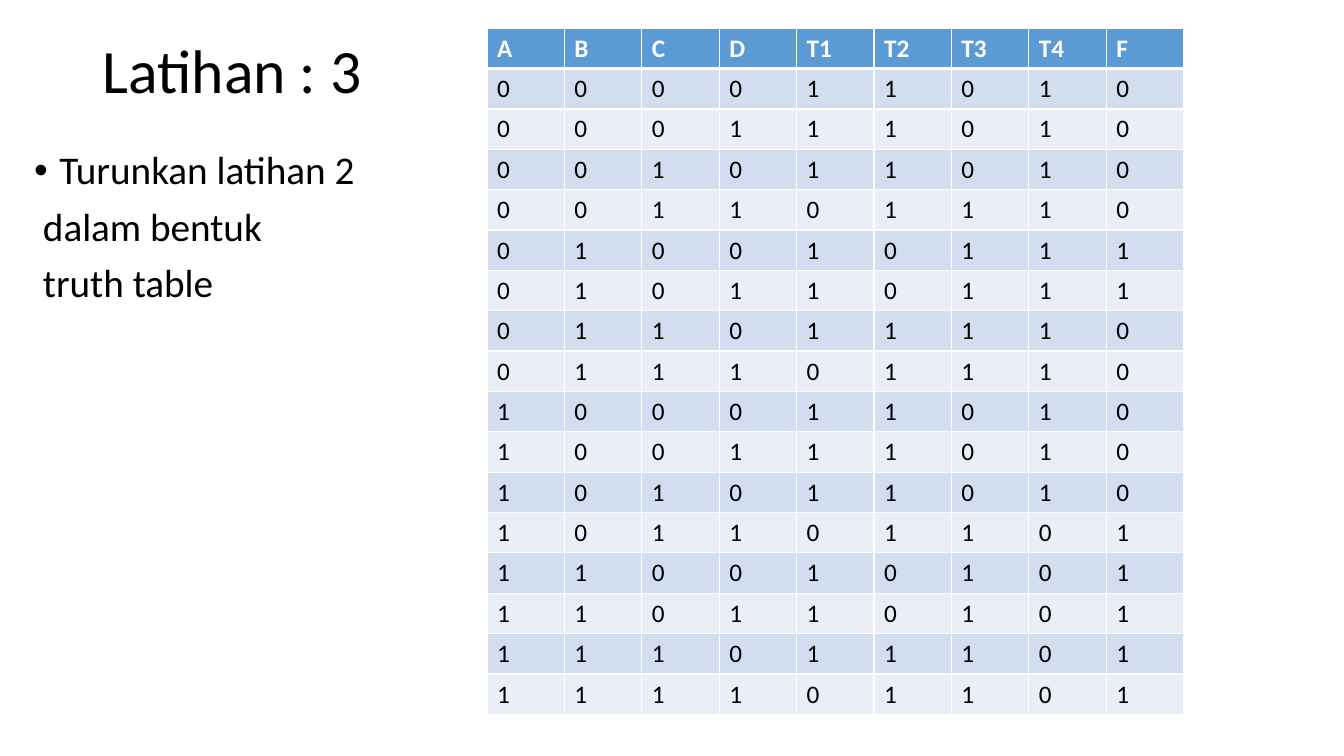
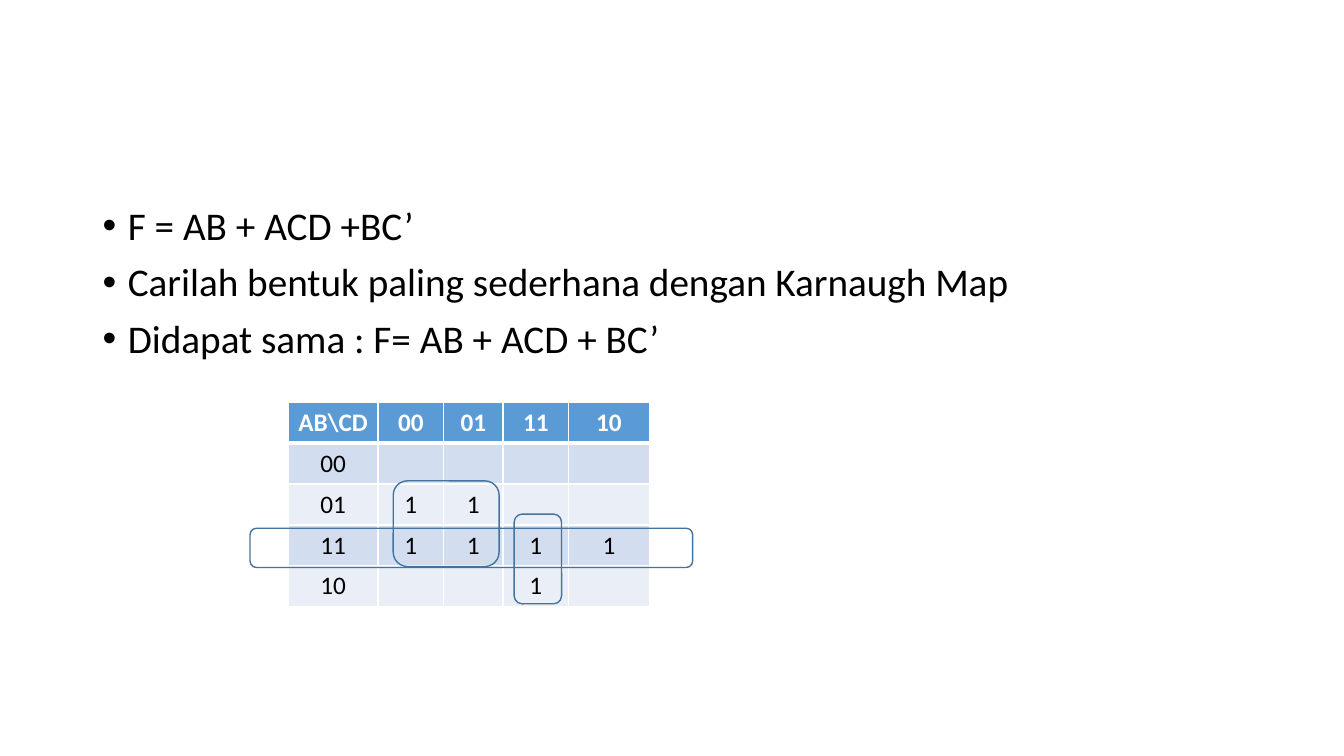
from itertools import product

from lxml.etree import SubElement
from pptx import Presentation
from pptx.dml.color import RGBColor
from pptx.enum.shapes import MSO_SHAPE
from pptx.enum.text import MSO_ANCHOR, PP_ALIGN
from pptx.oxml.ns import qn
from pptx.util import Inches, Pt

BLACK, WHITE = "000000", "FFFFFF"
HEADER_FILL, BAND_FILLS = "5B9BD5", ("D2DEEF", "EAEFF7")
LOOP_LINE = "43739E"

TITLE_FONT = {"name": "Calibri", "size": Pt(44)}
BODY_FONT = {"name": "Calibri", "size": Pt(28)}
HEADER_FONT = {"name": "Calibri", "size": Pt(18), "bold": True}
CELL_FONT = {"name": "Calibri", "size": Pt(18), "bold": False}
TITLE_SPACING = {"line_spacing": 0.9}
BODY_SPACING = {"line_spacing": 0.9, "space_before": Pt(10)}

GRAY_CODES = ("00", "01", "11", "10")
LOOPS = (
    (2.48, 5.24, 4.39, 0.39),
    (3.9, 4.77, 1.05, 0.85),
    (5.1, 5.1, 0.47, 0.89),
)


def rgb(value):
    """Turn a hex string into a colour."""
    return RGBColor.from_string(value)


def apply_format(target, values):
    """Set each format value on the target."""
    for name, value in values.items():
        setattr(target, name, value)


def write(paragraph, text, font, color=BLACK):
    """Put one formatted run into a paragraph."""
    run = paragraph.add_run()
    run.text = text
    apply_format(run.font, font)
    run.font.color.rgb = rgb(color)


def add_bullet(paragraph):
    """Give a paragraph a hanging round bullet."""
    properties = paragraph._p.get_or_add_pPr()
    properties.set("marL", str(Inches(0.25)))
    properties.set("indent", str(-Inches(0.25)))
    SubElement(properties, qn("a:buFont")).set("typeface", "Arial")
    SubElement(properties, qn("a:buChar")).set("char", "•")


def add_text(slide, box, lines, font, spacing, anchor=MSO_ANCHOR.TOP):
    """Add a text box from (text, bulleted) lines."""
    frame = slide.shapes.add_textbox(*map(Inches, box)).text_frame
    apply_format(frame, {"word_wrap": True, "vertical_anchor": anchor})
    for index, (text, bulleted) in enumerate(lines):
        paragraph = frame.add_paragraph() if index else frame.paragraphs[0]
        apply_format(paragraph, spacing)
        if bulleted:
            add_bullet(paragraph)
        write(paragraph, text, font)


def add_title(slide, text):
    """Add the slide title."""
    add_text(slide, (0.92, 0, 11.5, 1.45), [(text, False)], TITLE_FONT,
             TITLE_SPACING, MSO_ANCHOR.MIDDLE)


def add_body(slide, left, top, lines):
    """Add the body text."""
    add_text(slide, (left, top, 11.5, 4.76), lines, BODY_FONT, BODY_SPACING)


def set_borders(cell, row):
    """Draw white cell borders, thick below the header row."""
    widths = {"L": 1, "R": 1, "T": 3 if row == 1 else 1, "B": 1 if row else 3}
    for side, width in widths.items():
        line = SubElement(cell._tc.get_or_add_tcPr(), qn(f"a:ln{side}"), w=str(Pt(width)))
        fill = SubElement(line, qn("a:solidFill"))
        SubElement(fill, qn("a:srgbClr"), val=WHITE)


def add_grid(slide, box, rows, alignment=PP_ALIGN.LEFT):
    """Add a banded table with a header row and return it."""
    grid = slide.shapes.add_table(len(rows), len(rows[0]), *map(Inches, box)).table
    for r, values in enumerate(rows):
        for c, value in enumerate(values):
            cell = grid.cell(r, c)
            set_borders(cell, r)
            cell.fill.solid()
            cell.fill.fore_color.rgb = rgb(BAND_FILLS[(r - 1) % 2] if r else HEADER_FILL)
            paragraph = cell.text_frame.paragraphs[0]
            paragraph.alignment = alignment
            if value:
                write(paragraph, value, CELL_FONT if r else HEADER_FONT,
                      BLACK if r else WHITE)
    return grid


def add_loop(slide, box):
    """Outline a group of cells with a rounded rectangle."""
    loop = slide.shapes.add_shape(MSO_SHAPE.ROUNDED_RECTANGLE, *map(Inches, box))
    loop.shadow.inherit = False
    loop.fill.background()
    loop.line.color.rgb = rgb(LOOP_LINE)
    loop.line.width = Pt(1)


def nand(x, y):
    """Return the NAND of two bits."""
    return 1 - x * y


def gate_outputs(a, b, c, d):
    """Return T1 to T4 and F for one input row."""
    t1, t2 = nand(c, d), nand(b, 1 - c)
    t3 = nand(t1, 1 - b)
    t4 = nand(a, t3)
    return t1, t2, t3, t4, nand(t2, t4)


def truth_rows():
    """Build the truth table rows."""
    header = ["A", "B", "C", "D", "T1", "T2", "T3", "T4", "F"]
    return [header] + [
        [str(bit) for bit in inputs + gate_outputs(*inputs)]
        for inputs in product((0, 1), repeat=4)
    ]


def karnaugh_rows():
    """Build the Karnaugh map rows, marking only the ones."""
    return [["AB\\CD", *GRAY_CODES]] + [
        [ab] + ["1" if gate_outputs(*map(int, ab + cd))[-1] else "" for cd in GRAY_CODES]
        for ab in GRAY_CODES
    ]


def build_truth_slide(slide):
    """Build the truth table exercise."""
    add_title(slide, "Latihan : 3")
    add_body(slide, 0.24, 1.45, [
        ("Turunkan latihan 2", True),
        (" dalam bentuk", False),
        (" truth table", False),
    ])
    add_grid(slide, (4.83, 0.28, 6.91, 6.8), truth_rows())


def build_karnaugh_slide(slide):
    """Build the Karnaugh map simplification."""
    add_body(slide, 0.92, 2, [
        ("F = AB + ACD +BC’", True),
        ("Carilah bentuk paling sederhana dengan Karnaugh Map", True),
        ("Didapat sama : F= AB + ACD + BC’", True),
    ])
    karnaugh = add_grid(slide, (2.86, 3.99, 3.58, 2.03), karnaugh_rows(), PP_ALIGN.CENTER)
    for column, width in zip(karnaugh.columns, (0.89, 0.65, 0.59, 0.65, 0.8)):
        column.width = Inches(width)
    for box in LOOPS:
        add_loop(slide, box)


def main():
    """Build and save the presentation."""
    deck = Presentation()
    apply_format(deck, {"slide_width": Inches(13.33), "slide_height": Inches(7.5)})
    for build in (build_truth_slide, build_karnaugh_slide):
        build(deck.slides.add_slide(deck.slide_layouts[6]))
    deck.save("out.pptx")


if __name__ == "__main__":
    main()
